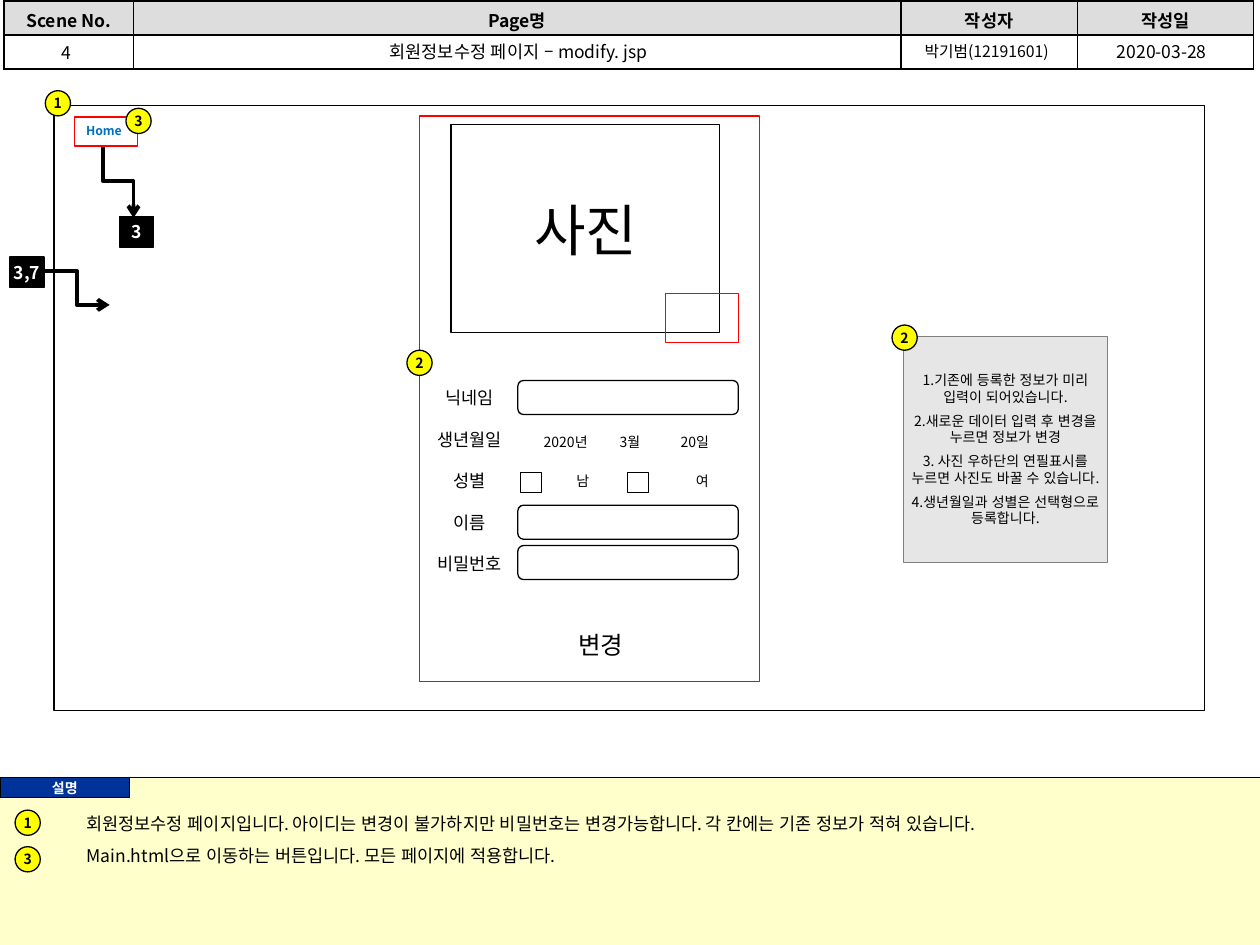
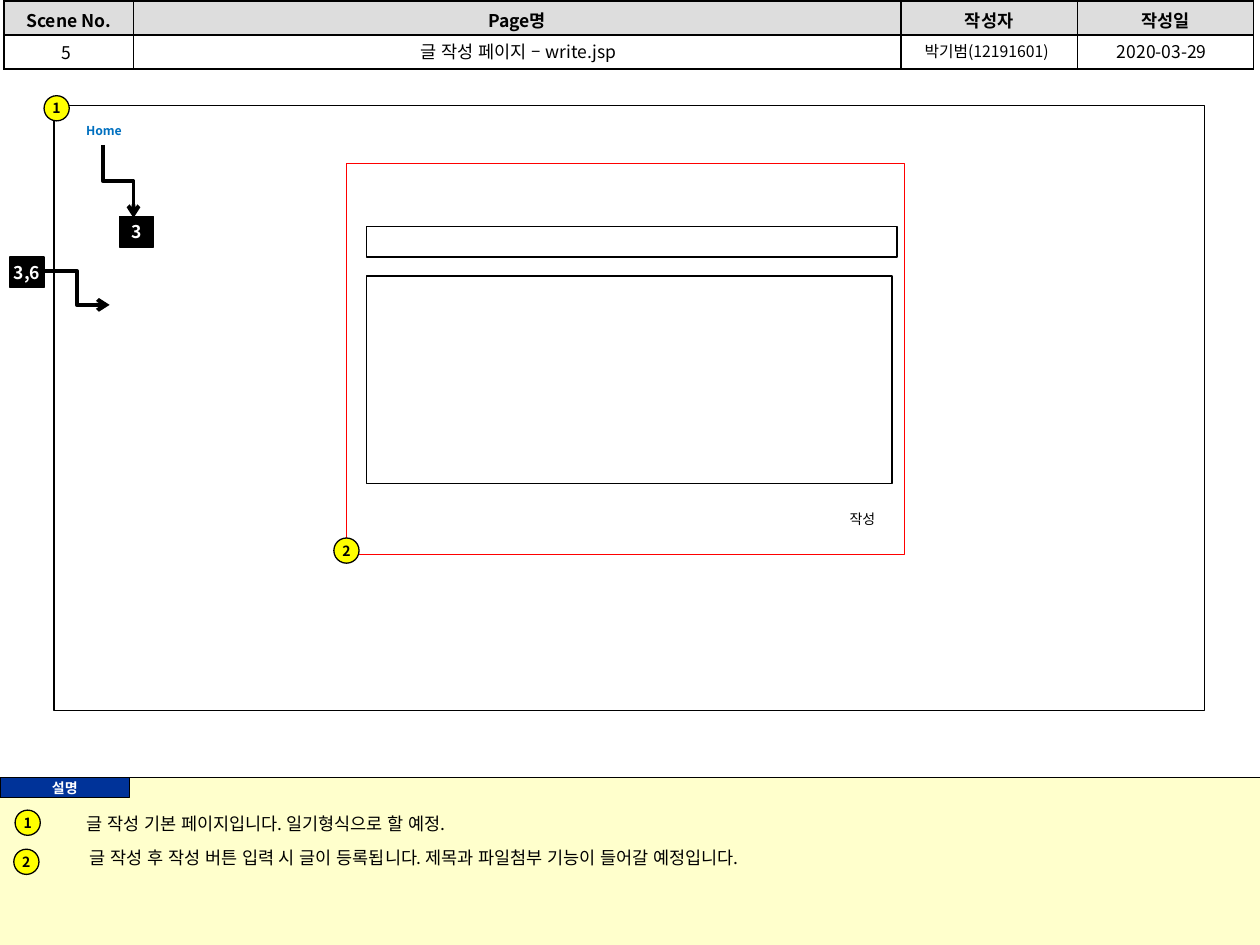
from lxml import etree
from pptx import Presentation
from pptx.dml.color import RGBColor
from pptx.enum import shapes as sh, text as tx
from pptx.oxml.ns import qn
from pptx.util import Inches, Pt

FONT = "Noto Sans CJK KR"
BLACK = RGBColor(0, 0, 0)
WHITE = RGBColor(255, 255, 255)
RED = RGBColor(255, 0, 0)
YELLOW = RGBColor(255, 255, 0)
CREAM = RGBColor(0xFF, 0xFF, 0xCC)
NAVY = RGBColor(0x00, 0x33, 0x99)
BLUE = RGBColor(0x00, 0x70, 0xC0)
HEAD = RGBColor(0xDD, 0xDD, 0xDD)
PALE = RGBColor(0xE6, 0xE6, 0xE6)
GREY = RGBColor(0x80, 0x80, 0x80)
RECT = sh.MSO_SHAPE.RECTANGLE
ROUND = sh.MSO_SHAPE.ROUNDED_RECTANGLE
OVAL = sh.MSO_SHAPE.OVAL
LEFT, MID = tx.PP_ALIGN.LEFT, tx.PP_ALIGN.CENTER


def style(frame, size, color=BLACK, bold=False, align=MID):
    for para in frame.paragraphs:
        para.alignment = align
        for run in para.runs:
            font = run.font
            font.name, font.size, font.bold = FONT, Pt(size), bold
            font.color.rgb = color
            props = run._r.get_or_add_rPr()
            props.set("lang", "ko-KR")
            etree.SubElement(props, qn("a:ea")).set("typeface", FONT)


def box(kind, at, words="", size=8, color=BLACK, bold=False, align=MID,
        fill=None, line=BLACK, width=0.75):
    """Add a preset shape, or a plain text box when kind is None."""
    place = [Inches(n) for n in at]
    if kind is None:
        item = slide.shapes.add_textbox(*place)
    else:
        item = slide.shapes.add_shape(kind, *place)
        item.shadow.inherit = False
        item.line.color.rgb = line
        item.line.width = Pt(width)
        if fill is None:
            item.fill.background()
        else:
            item.fill.solid()
            item.fill.fore_color.rgb = fill
    if words:
        frame = item.text_frame
        frame.text = words
        frame.word_wrap = True
        frame.vertical_anchor = tx.MSO_ANCHOR.MIDDLE
        frame.margin_top = frame.margin_bottom = 0
        frame.margin_left = frame.margin_right = Inches(0.1 if align == LEFT else 0)
        style(frame, size, color, bold, align)
    return item


# Page number, title, date, source scenes, numbered dots, captions (left, top, words)
PAGES = [
    ("4", "회원정보수정 페이지 – modify. jsp", "2020-03-28", "3,7",
     [("1", 0.12, 6.43), ("1", 0.36, 0.72), ("2", 7.08, 2.58),
      ("2", 3.23, 2.78), ("3", 1.0, 0.86), ("3", 0.12, 6.72)],
     [(0.59, 6.41, "회원정보수정 페이지입니다. 아이디는 변경이 불가하지만 "
       "비밀번호는 변경가능합니다. 각 칸에는 기존 정보가 적혀 있습니다."),
      (0.59, 6.66, "Main.html으로 이동하는 버튼입니다. 모든 페이지에 적용합니다.")]),
    ("5", "글 작성 페이지 – write.jsp", "2020-03-29", "3,6",
     [("1", 0.12, 6.43), ("1", 0.35, 0.76), ("2", 2.65, 4.27), ("2", 0.11, 6.74)],
     [(0.59, 6.41, "글 작성 기본 페이지입니다. 일기형식으로 할 예정."),
      (0.61, 6.68, "글 작성 후 작성 버튼 입력 시 글이 등록됩니다. "
       "제목과 파일첨부 기능이 들어갈 예정입니다.")]),
]
HEADS = ["Scene No.", "Page명", "작성자", "작성일"]
FIELDS = ["닉네임", "생년월일", "성별", "이름", "비밀번호"]
NOTES = [
    "1.기존에 등록한 정보가 미리 입력이 되어있습니다.",
    "2.새로운 데이터 입력 후 변경을 누르면 정보가 변경",
    "3. 사진 우하단의 연필표시를 누르면 사진도 바꿀 수 있습니다.",
    "4.생년월일과 성별은 선택형으로 등록합니다.",
]

deck = Presentation()
deck.slide_width, deck.slide_height = Inches(10), Inches(7.5)

for num, title, date, origin, dots, notes in PAGES:
    slide = deck.slides.add_slide(deck.slide_layouts[6])

    # Note band at the foot
    band = box(RECT, (0, 6.17, 10, 1.33), fill=CREAM)
    band.line.fill.background()

    # Heading table, with the page's values laid over its lower row
    table = slide.shapes.add_table(2, 4, Inches(0.03), Inches(0.01),
                                   Inches(9.93), Inches(0.54)).table
    table.first_row = table.horz_banding = False
    for col, wide in zip(table.columns, (1.03, 6.09, 1.4, 1.4)):
        col.width = Inches(wide)
    for r, row in enumerate(table.rows):
        row.height = Inches(0.27)
        for c, cell in enumerate(row.cells):
            cell.vertical_anchor = tx.MSO_ANCHOR.MIDDLE
            cell.margin_top = Inches(0.03 if r == 0 else 0)
            cell.margin_bottom = 0
            props = cell._tc.get_or_add_tcPr()
            for side in ("lnL", "lnR", "lnT", "lnB"):
                edge = etree.SubElement(props, qn("a:" + side), w=str(Pt(1)))
                paint = etree.SubElement(edge, qn("a:solidFill"))
                etree.SubElement(paint, qn("a:srgbClr"), val=str(BLACK))
            if r == 0:
                cell.text = HEADS[c]
                style(cell.text_frame, 10, bold=True)
                cell.fill.solid()
                cell.fill.fore_color.rgb = HEAD
            else:
                para = cell.text_frame.paragraphs[0]._p
                etree.SubElement(para, qn("a:endParaRPr"), sz="1000")
                cell.fill.background()
    for words, left, top, wide, size in (
            (num, 0, 0.29, 1.06, 10), (title, 1.11, 0.28, 6.01, 10),
            ("박기범(12191601)", 7.17, 0.28, 1.32, 9), (date, 8.56, 0.28, 1.32, 10)):
        box(None, (left, top, wide, 0.26), words, size)

    box(RECT, (0, 6.17, 1.03, 0.16), "설명", 8, WHITE, True, fill=NAVY)
    for left, top, words in notes:
        box(None, (left, top, 9.25, 0.26), words, 10, align=LEFT)

    # Screen frame, home link and scene markers
    box(RECT, (0.43, 0.84, 9.13, 4.8))
    box(None, (0.39, 0.93, 0.87, 0.22), "Home", 7, BLUE, True)
    for words, left, top in (("3", 0.95, 1.72), (origin, 0.08, 2.04)):
        box(RECT, (left, top, 0.27, 0.24), words, 10, WHITE, True, fill=BLACK)

    # Band rule, then the arrows from the home link and from the origin
    straight, elbow = sh.MSO_CONNECTOR.STRAIGHT, sh.MSO_CONNECTOR.ELBOW
    for kind, ends, width, turn in (
            (straight, (0, 6.17, 10, 6.17), 0.75, 0),
            (elbow, (1.23, 1.32, 0.65, 1.56), 2.25, 270),
            (elbow, (0.35, 2.15, 0.87, 2.42), 2.25, 0)):
        link = slide.shapes.add_connector(kind, *[Inches(n) for n in ends])
        link.line.color.rgb = BLACK
        link.line.width = Pt(width)
        props = link._element.spPr
        if turn:
            props.find(qn("a:xfrm")).set("rot", str(turn * 60000))
        if kind == elbow:
            etree.SubElement(link.line._get_or_add_ln(), qn("a:tailEnd"), type="arrow")
        etree.SubElement(props, qn("a:effectLst"))

    if num == "4":
        # Photo and its edit button
        box(RECT, (3.58, 0.99, 2.13, 1.65))
        box(None, (4.02, 1.5, 1.26, 0.64), "사진", 32)
        box(RECT, (5.28, 2.33, 0.58, 0.39), line=RED)

        # Form fields
        for i, field in enumerate(FIELDS):
            box(None, (3.33, 3.02 + 0.33 * i, 0.79, 0.27), field, 10)
        for top in (3.02, 4.01, 4.33):
            box(ROUND, (4.11, top, 1.75, 0.27))
        for words, left, wide in (("2020년", 4.13, 0.72), ("3월", 4.79, 0.42),
                                  ("20일", 5.23, 0.57)):
            box(None, (left, 3.39, wide, 0.24), words)
        for words, tick, left in (("남", 4.13, 4.49), ("여", 4.98, 5.44)):
            box(RECT, (tick, 3.75, 0.17, 0.16))
            box(None, (left, 3.7, 0.27, 0.24), words)
        box(None, (4.27, 4.95, 1, 0.34), "변경", 14)

        # Side notes and marked areas
        side = box(RECT, (7.17, 2.67, 1.62, 1.79), "\n".join(NOTES),
                   fill=PALE, line=GREY, width=0.25)
        for para in side.text_frame.paragraphs:
            para.space_before = Pt(4)
        box(RECT, (3.33, 0.92, 2.7, 4.49), line=RED)
        box(RECT, (0.59, 0.93, 0.5, 0.23), line=RED)
    else:
        # Title field, body field and submit button
        box(RECT, (2.91, 1.8, 4.21, 0.24))
        box(RECT, (2.91, 2.19, 4.17, 1.65))
        box(None, (6.45, 4, 0.79, 0.24), "작성")
        box(RECT, (2.75, 1.3, 4.43, 3.1), line=RED)

    for words, left, top in dots:
        box(OVAL, (left, top, 0.2, 0.2), words, 8, bold=True, fill=YELLOW)

deck.save("out.pptx")
